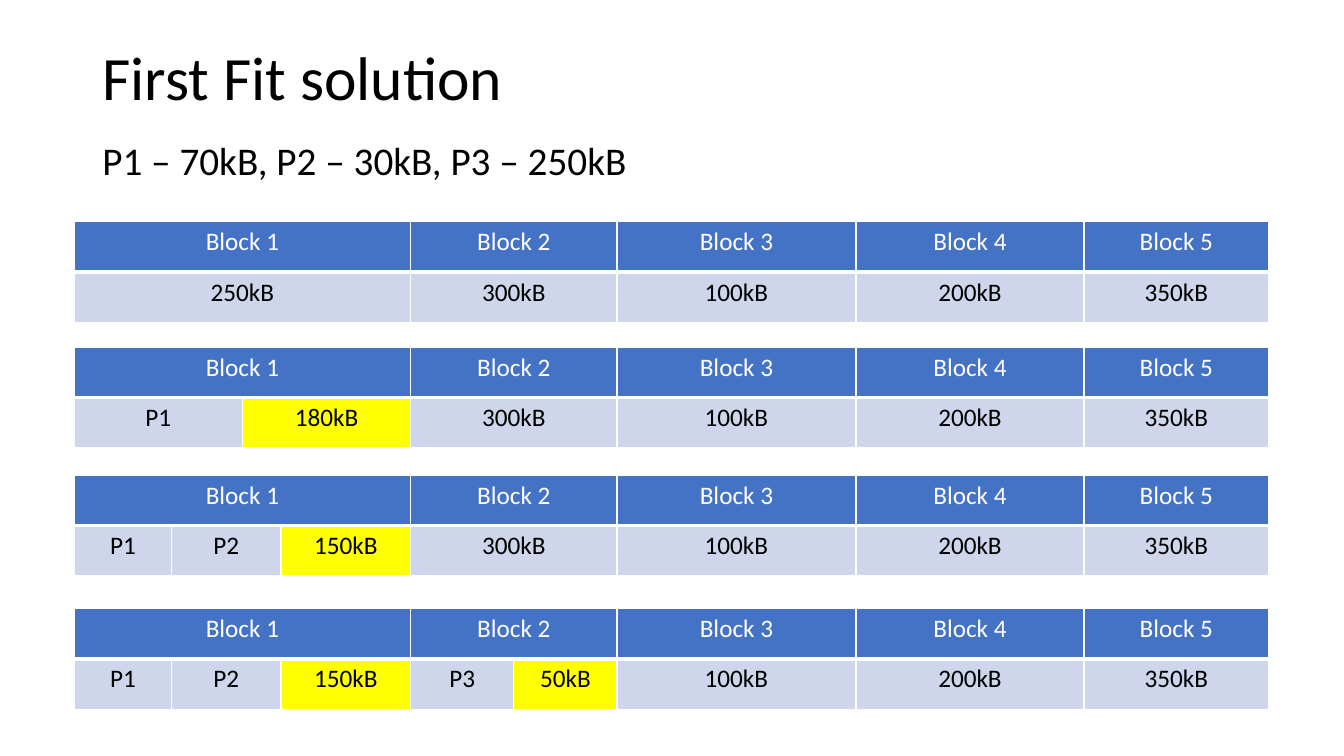
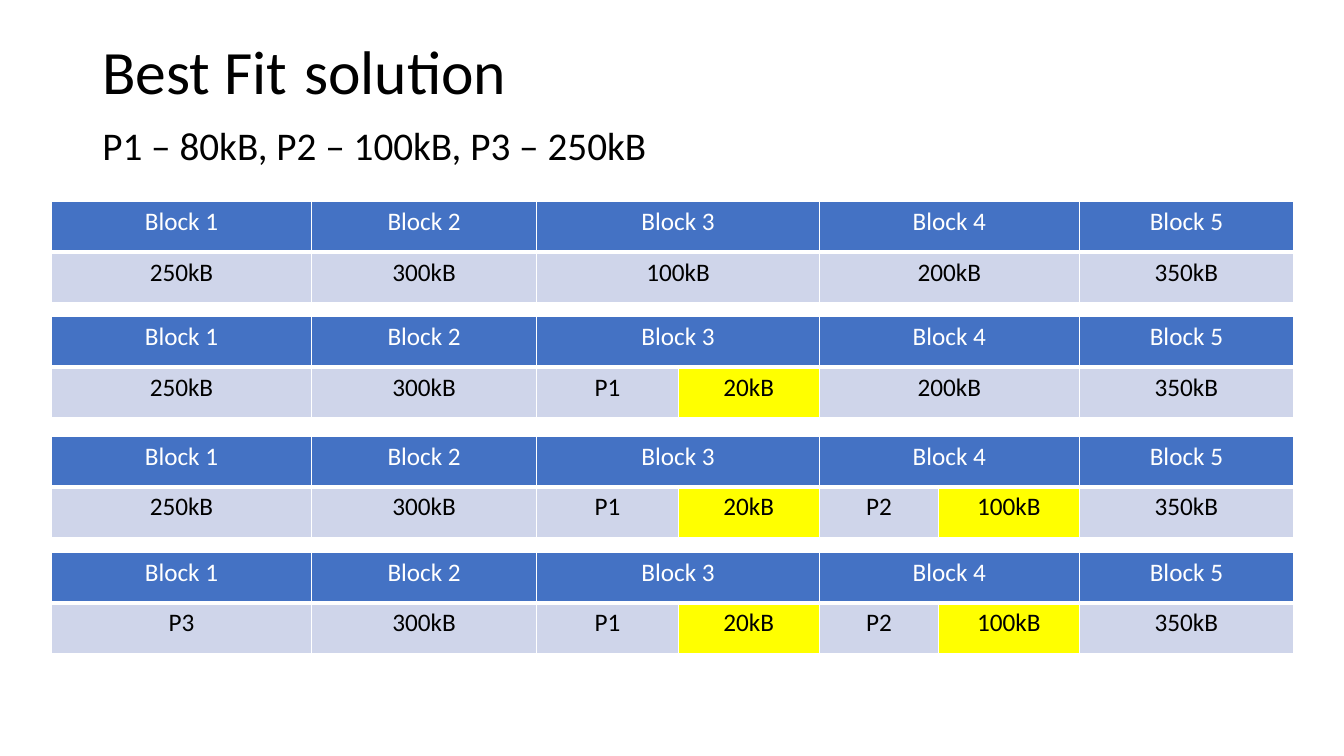
from pptx import Presentation
from pptx import util as u
from pptx.dml.color import RGBColor
from pptx.enum import text
from pptx.oxml import parse_xml
from pptx.oxml.ns import nsdecls

BLACK = RGBColor(0x00, 0x00, 0x00)
WHITE = RGBColor(0xFF, 0xFF, 0xFF)
BLUE = RGBColor(0x44, 0x72, 0xC4)
PALE = RGBColor(0xCF, 0xD5, 0xEA)
YELLOW = RGBColor(0xFF, 0xFF, 0x00)

SIZES = ["250kB", "300kB", "100kB", "200kB", "350kB"]

SLIDES = [
    {
        "title": ("First Fit solution", 0.18),
        "processes": ("P1 – 70kB, P2 – 30kB, P3 – 250kB", 3.45),
        "left": 1.87,
        "widths": [8.48, 5.2, 6.02, 5.75, 4.65],
        "steps": [
            (5.59, {}),
            (8.75, {0: [("P1", 4.24), ("180kB", 4.24)]}),
            (11.97, {0: [("P1", 2.46), ("P2", 2.75), ("150kB", 3.27)]}),
            (15.33, {1: [("P3", 2.6), ("50kB", 2.6)]}),
        ],
    },
    {
        "title": ("Best Fit\tsolution", 0.05),
        "processes": ("P1 – 80kB, P2 – 100kB, P3 – 250kB", 3.07),
        "left": 1.3,
        "widths": [6.55, 5.68, 7.12, 6.55, 5.4],
        "steps": [
            (5.08, {}),
            (7.98, {2: [("P1", 3.56), ("20kB", 3.56)]}),
            (11, {3: [("P2", 3), ("100kB", 3.55)]}),
            (13.92, {0: [("P3", 6.55)]}),
        ],
    },
]


class Deck:
    """Holds the shared style and the current slide."""

    LEFT, WIDTH, ROW = 2.33, 29.21, 1.27
    TITLE = {"name": "Calibri", "size": u.Pt(44), "bold": False}
    BODY = {"name": "Calibri", "size": u.Pt(28), "bold": False}
    CELL = {"name": "Calibri", "size": u.Pt(18), "bold": False}

    def __init__(self):
        self.prs = Presentation()
        self.prs.slide_width, self.prs.slide_height = u.Cm(33.87), u.Cm(19.05)

    def add_slide(self):
        self.s = self.prs.slides.add_slide(self.prs.slide_layouts[5])

    def add_words(self, tf, words, style, color, align, spacing=1.0):
        p = tf.paragraphs[0]
        p.alignment, p.line_spacing = align, spacing
        r = p.add_run()
        r.text = words
        for key, value in style.items():
            setattr(r.font, key, value)
        r.font.color.rgb = color

    def place(self, sp, top, height, anchor):
        box = {"left": self.LEFT, "top": top, "width": self.WIDTH, "height": height}
        for key, value in box.items():
            setattr(sp, key, u.Cm(value))
        frame = {"word_wrap": True, "auto_size": text.MSO_AUTO_SIZE.NONE,
                 "vertical_anchor": anchor}
        for key, value in frame.items():
            setattr(sp.text_frame, key, value)

    def title(self, words, top):
        sp = self.s.shapes.title
        self.place(sp, top, 3.68, text.MSO_ANCHOR.MIDDLE)
        self.add_words(sp.text_frame, words, self.TITLE, BLACK, text.PP_ALIGN.LEFT, 0.9)

    def processes(self, words, top):
        sp = self.s.shapes.add_textbox(0, 0, 0, 0)
        self.place(sp, top, 1.5, text.MSO_ANCHOR.TOP)
        self.add_words(sp.text_frame, words, self.BODY, BLACK, text.PP_ALIGN.LEFT, 0.9)

    def cell(self, cell, words, fill, color, bottom=1):
        for side, points in (("L", 1), ("R", 1), ("T", 1), ("B", bottom)):
            cell._tc.get_or_add_tcPr().append(parse_xml(
                f'<a:ln{side} {nsdecls("a")} w="{u.Pt(points)}"><a:solidFill>'
                f'<a:srgbClr val="{WHITE}"/></a:solidFill></a:ln{side}>'))
        cell.fill.solid()
        cell.fill.fore_color.rgb = fill
        if words:
            self.add_words(cell.text_frame, words, self.CELL, color, text.PP_ALIGN.CENTER)

    def memory(self, left, top, blocks):
        widths = [width for parts in blocks for _, width in parts]
        table = self.s.shapes.add_table(
            2, len(widths), u.Cm(left), u.Cm(top),
            u.Cm(sum(widths)), u.Cm(2 * self.ROW)).table
        table.horz_banding = False
        for row in table.rows:
            row.height = u.Cm(self.ROW)
        for column, width in zip(table.columns, widths):
            column.width = u.Cm(width)
        first = 0
        for number, parts in enumerate(blocks, 1):
            last = first + len(parts) - 1
            if last > first:
                table.cell(0, first).merge(table.cell(0, last))
            for i, (words, _) in enumerate(parts, first):
                head = f"Block {number}" if i == first else ""
                self.cell(table.cell(0, i), head, BLUE, WHITE, 3)
                fill = YELLOW if first < i == last else PALE
                self.cell(table.cell(1, i), words, fill, BLACK)
            first = last + 1


def main():
    deck = Deck()
    for page in SLIDES:
        deck.add_slide()
        deck.title(*page["title"])
        deck.processes(*page["processes"])
        blocks = [[part] for part in zip(SIZES, page["widths"])]
        for top, changes in page["steps"]:
            for block, parts in changes.items():
                blocks[block] = parts
            deck.memory(page["left"], top, blocks)
    deck.prs.save("out.pptx")


if __name__ == "__main__":
    main()
